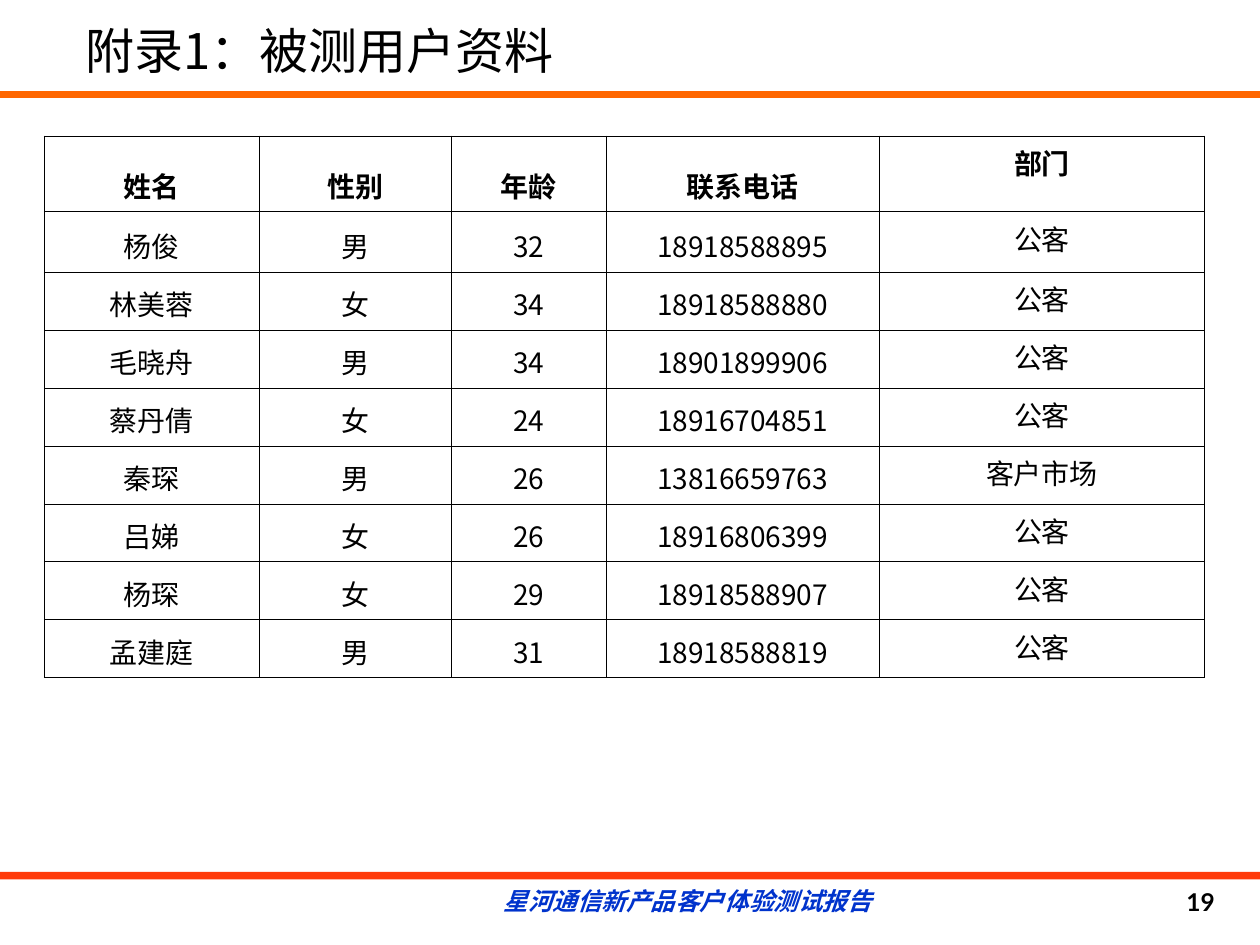
from pptx import Presentation
from pptx.dml.color import RGBColor
from pptx.enum.shapes import MSO_CONNECTOR, MSO_SHAPE
from pptx.enum.text import MSO_ANCHOR, MSO_AUTO_SIZE, PP_ALIGN
from pptx.oxml.ns import qn
from pptx.util import Inches, Pt
from lxml.etree import SubElement


def colour(value):
    return RGBColor.from_string(value)


class SlideBuilder:
    UNIT = 0.1
    BODY_FONT = "Noto Sans CJK SC"
    FOOTER_FONT = "Lato"
    BLACK, WHITE, BLUE = "000000", "FFFFFF", "0033CC"
    ORANGE, RED = "FF6600", "FF3A0A"

    def __init__(self, deck):
        self.page = deck.slides.add_slide(deck.slide_layouts[5])

    def grid(self, *units):
        return [Inches(round(unit * self.UNIT, 2)) for unit in units]

    def format_text(self, frame, text, size, font, ink=BLACK, bold=False,
                    italic=False, align=PP_ALIGN.CENTER):
        frame.text = text
        para = frame.paragraphs[0]
        para.alignment = align
        span = para.runs[0]
        span.font.size = Pt(size)
        span.font.bold = bold
        span.font.italic = italic
        span.font.color.rgb = colour(ink)
        span.font.name = font
        east_asian = SubElement(span.font._element, qn("a:ea"))
        east_asian.set("typeface", font)

    def title(self, area, text):
        box = self.page.shapes.title
        box.left, box.top, box.width, box.height = self.grid(*area)
        frame = box.text_frame
        self.format_text(frame, text, 28, self.BODY_FONT, align=PP_ALIGN.LEFT)
        frame.word_wrap = False
        frame.auto_size = MSO_AUTO_SIZE.SHAPE_TO_FIT_TEXT
        frame.vertical_anchor = MSO_ANCHOR.TOP

    def bar(self, area, fill):
        box = self.page.shapes.add_shape(MSO_SHAPE.RECTANGLE, *self.grid(*area))
        box.shadow.inherit = False
        box.fill.solid()
        box.fill.fore_color.rgb = colour(fill)
        box.line.fill.background()

    def rule(self, row, ink, width):
        line = self.page.shapes.add_connector(
            MSO_CONNECTOR.STRAIGHT, *self.grid(0, row, 100, row))
        line.line.color.rgb = colour(ink)
        line.line.width = Pt(width)
        SubElement(line._element.spPr, qn("a:effectLst"))

    def footer(self, area, text, anchor=MSO_ANCHOR.TOP,
               fit=MSO_AUTO_SIZE.NONE, **style):
        box = self.page.shapes.add_textbox(*self.grid(*area))
        frame = box.text_frame
        frame.word_wrap = False
        frame.auto_size = fit
        frame.vertical_anchor = anchor
        self.format_text(frame, text, 14, self.FOOTER_FONT, bold=True, **style)

    def borders(self, cell, ink, width):
        properties = cell._tc.get_or_add_tcPr()
        for side in ("lnL", "lnR", "lnT", "lnB"):
            edge = SubElement(properties, qn(f"a:{side}"), w=str(Pt(width)))
            fill = SubElement(edge, qn("a:solidFill"))
            SubElement(fill, qn("a:srgbClr"), val=ink)

    def table(self, left, top, columns, rows, records):
        area = self.grid(left, top, sum(columns), sum(rows))
        table = self.page.shapes.add_table(len(rows), len(columns), *area).table
        table.first_row = table.horz_banding = False
        for column, width in zip(table.columns, self.grid(*columns)):
            column.width = width
        for row, height in zip(table.rows, self.grid(*rows)):
            row.height = height
        for row, record in enumerate(records):
            for column, text in enumerate(record):
                cell = table.cell(row, column)
                is_department = column == len(columns) - 1
                cell.vertical_anchor = MSO_ANCHOR.TOP if is_department else MSO_ANCHOR.BOTTOM
                self.format_text(cell.text_frame, text, 16, self.BODY_FONT, bold=row == 0)
                self.borders(cell, self.BLACK, 0.45)
                if row == len(rows) - 1:
                    cell.fill.solid()
                    cell.fill.fore_color.rgb = colour(self.WHITE)
                else:
                    cell.fill.background()


def main():
    deck = Presentation()
    deck.slide_width, deck.slide_height = Inches(10), Inches(7.5)
    slide = SlideBuilder(deck)
    slide.bar((0, 69.2, 100, 0.8), slide.RED)
    slide.rule(7.5, slide.ORANGE, 4.5)
    slide.bar((0, 69.8, 100, 5.2), slide.WHITE)
    slide.footer((38.6, 69.8, 32, 3.4), "星河通信新产品客户体验测试报告",
                 fit=MSO_AUTO_SIZE.SHAPE_TO_FIT_TEXT, ink=slide.BLUE, italic=True)
    slide.footer((90.6, 69.8, 9.4, 3.6), "19", anchor=MSO_ANCHOR.MIDDLE)
    slide.title((5.8, 1.1, 41, 5.7), "附录1：被测用户资料")
    users = [
        ("姓名", "性别", "年龄", "联系电话", "部门"),
        ("杨俊", "男", "32", "18918588895", "公客"),
        ("林美蓉", "女", "34", "18918588880", "公客"),
        ("毛晓舟", "男", "34", "18901899906", "公客"),
        ("蔡丹倩", "女", "24", "18916704851", "公客"),
        ("秦琛", "男", "26", "13816659763", "客户市场"),
        ("吕娣", "女", "26", "18916806399", "公客"),
        ("杨琛", "女", "29", "18918588907", "公客"),
        ("孟建庭", "男", "31", "18918588819", "公客"),
    ]
    slide.table(3.5, 10.8, [17.1, 15.2, 12.3, 21.7, 25.8],
                [6, 4.8] + [4.63] * 7, users)
    deck.save("out.pptx")


if __name__ == "__main__":
    main()
